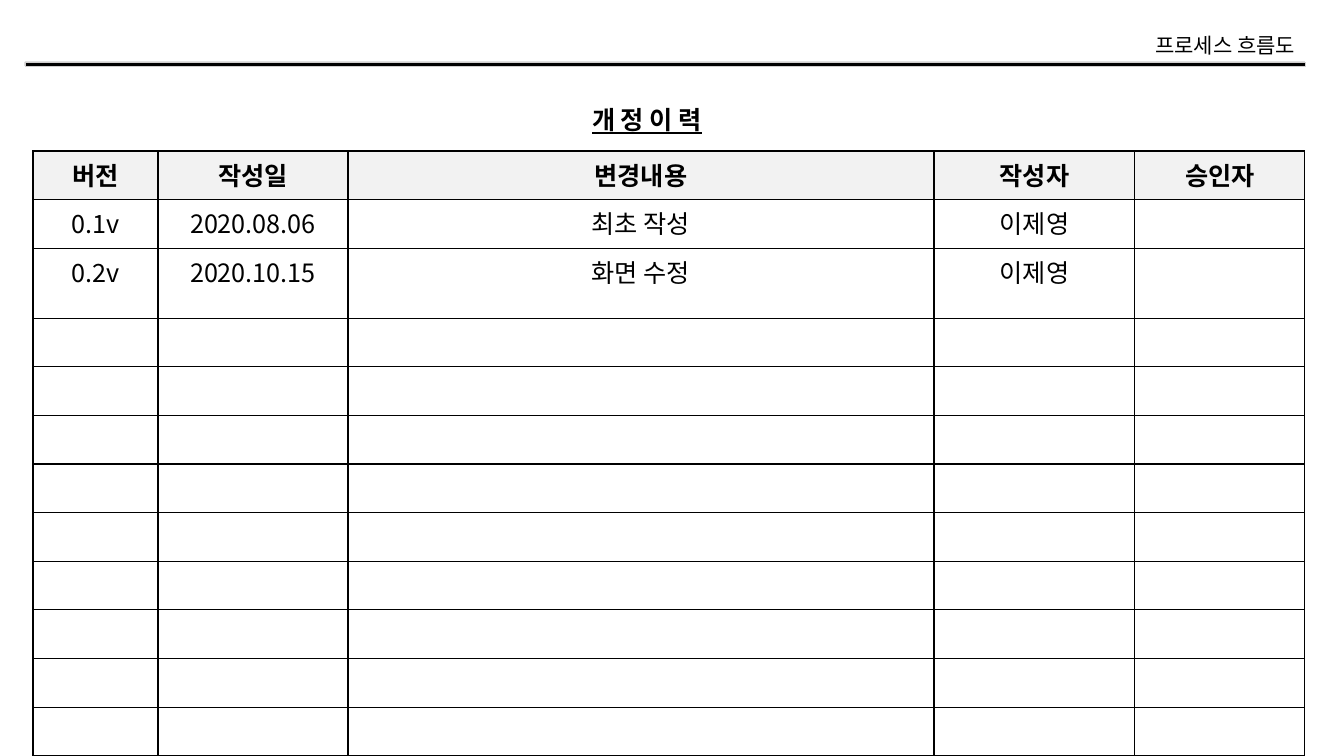
"""Build the revision history slide."""
from dataclasses import dataclass

from lxml.etree import SubElement
from pptx import Presentation
from pptx.dml.color import RGBColor as RGB
from pptx.enum.text import MSO_ANCHOR as ANCHOR, MSO_AUTO_SIZE as FIT, PP_ALIGN as ALIGN
from pptx.enum.shapes import MSO_SHAPE as SHAPE
from pptx.oxml.ns import qn
from pptx.util import Pt

SECTION = "프로세스 흐름도"
HEADING = "개 정 이 력"
COLUMNS = [("버전", 125), ("작성일", 190), ("변경내용", 586), ("작성자", 201), ("승인자", 170)]
REVISIONS = [
    ("0.1v", "2020.08.06", "최초 작성", "이제영", ""),
    ("0.2v", "2020.10.15", "화면 수정", "이제영", ""),
]
ROW_COUNT = 12
TALL_ROW, TALL_HEIGHT = 2, 70
HISTORY_BOX = (33, 151, 1272, 605)
SECTION_BOX = (1129, 28, 176, 35)
HEADING_BOX = (582, 99, 168, 40)
RULE_BOX = (25, 62, 1280, 4)
SLIDE_SIZE = (1344, 756)
EMU_PER_PX = 12192000 / 1344


@dataclass(frozen=True)
class Theme:
    font: str = "Noto Sans CJK KR"
    ink: str = "000000"
    header_fill: str = "F2F2F2"
    rule_edge: str = "D0CECE"
    section_size: int = 15
    body_size: int = 18


THEME = Theme()


def emu(*lengths):
    return [round(length * EMU_PER_PX) for length in lengths]


def write(frame, text, size, align, bold=False, underline=False):
    frame.text = text
    paragraph = frame.paragraphs[0]
    paragraph.alignment = align
    for run in paragraph.runs:
        font = run.font
        font.name, font.size = THEME.font, Pt(size)
        font.bold, font.underline = bold, underline
        font.color.rgb = RGB.from_string(THEME.ink)
        SubElement(font._element, qn("a:ea"), typeface=THEME.font)


def add_borders(cell):
    properties = cell._tc.get_or_add_tcPr()
    for side in ("lnL", "lnR", "lnT", "lnB"):
        line = SubElement(properties, qn(f"a:{side}"), w=str(Pt(1)))
        fill = SubElement(line, qn("a:solidFill"))
        SubElement(fill, qn("a:srgbClr"), val=THEME.ink)


def add_header(slide):
    rule = slide.shapes.add_shape(SHAPE.RECTANGLE, *emu(*RULE_BOX))
    rule.shadow.inherit = False
    rule.fill.solid()
    rule.fill.fore_color.rgb = RGB.from_string(THEME.ink)
    rule.line.color.rgb = RGB.from_string(THEME.rule_edge)
    rule.line.width = Pt(0.3)

    section = slide.shapes.add_textbox(*emu(*SECTION_BOX)).text_frame
    section.word_wrap = False
    section.auto_size = FIT.SHAPE_TO_FIT_TEXT
    write(section, SECTION, THEME.section_size, ALIGN.RIGHT)

    heading = slide.shapes.title
    heading.left, heading.top, heading.width, heading.height = emu(*HEADING_BOX)
    heading.text_frame.vertical_anchor = ANCHOR.TOP
    heading.text_frame.word_wrap = True
    heading.text_frame.auto_size = FIT.SHAPE_TO_FIT_TEXT
    write(heading.text_frame, HEADING, THEME.body_size, ALIGN.LEFT, bold=True, underline=True)


def add_history(slide):
    history = slide.shapes.add_table(ROW_COUNT, len(COLUMNS), *emu(*HISTORY_BOX)).table
    history.first_row = history.horz_banding = False
    for column, (_, width) in zip(history.columns, COLUMNS):
        column.width, = emu(width)
    row_height = (HISTORY_BOX[3] - TALL_HEIGHT) / (ROW_COUNT - 1)
    entries = [[label for label, _ in COLUMNS], *REVISIONS]
    entries += [[""] * len(COLUMNS)] * (ROW_COUNT - len(entries))
    for index, (row, entry) in enumerate(zip(history.rows, entries)):
        row.height, = emu(TALL_HEIGHT if index == TALL_ROW else row_height)
        is_header = index == 0
        for cell, text in zip(row.cells, entry):
            write(cell.text_frame, text, THEME.body_size, ALIGN.CENTER, bold=is_header)
            add_borders(cell)
            if is_header:
                cell.fill.solid()
                cell.fill.fore_color.rgb = RGB.from_string(THEME.header_fill)
            else:
                cell.fill.background()


def main():
    deck = Presentation()
    deck.slide_width, deck.slide_height = emu(*SLIDE_SIZE)
    slide = deck.slides.add_slide(deck.slide_layouts.get_by_name("Title Only"))
    add_header(slide)
    add_history(slide)
    deck.save("out.pptx")


if __name__ == "__main__":
    main()
